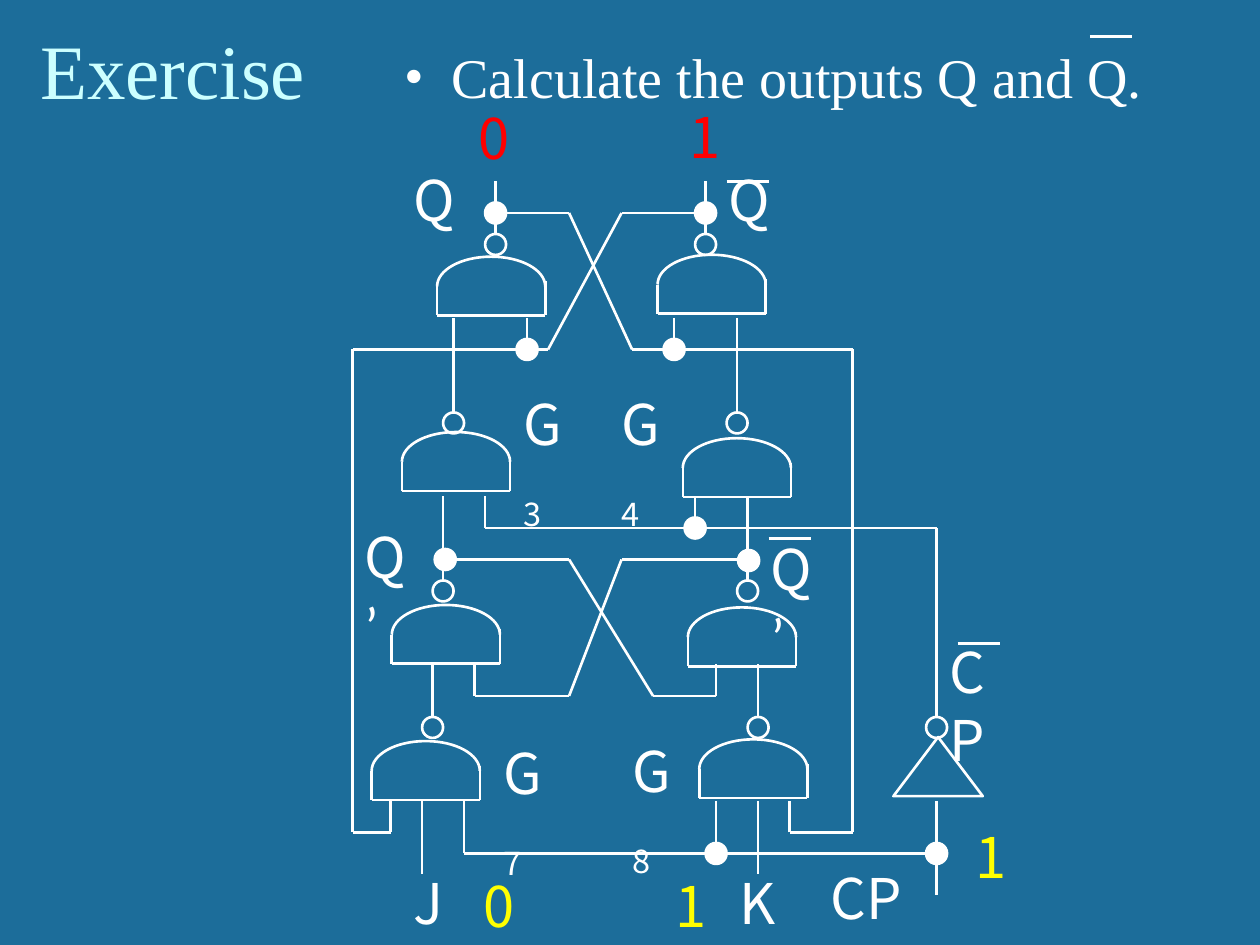
from lxml import etree
from pptx import Presentation
from pptx.dml.color import RGBColor
from pptx.enum import shapes as sh, text as tx
from pptx.oxml.ns import qn
from pptx.util import Pt

BLUE = RGBColor(0x1C, 0x6D, 0x9A)
PALE = RGBColor(0xCC, 0xFF, 0xFF)
WHITE = RGBColor(0xFF, 0xFF, 0xFF)
YELLOW = RGBColor(0xFF, 0xFF, 0x00)
RED = RGBColor(0xFF, 0x00, 0x00)
SERIF, SANS, PRIME = "Times New Roman", "Noto Sans CJK SC", "Calibri"
STEP, LEFT, TOP = 6, 1.2, 1.7

deck = Presentation()
deck.slide_width, deck.slide_height = Pt(720), Pt(540)
slide = deck.slides.add_slide(deck.slide_layouts[5])
slide.background.fill.solid()
slide.background.fill.fore_color.rgb = BLUE


def wire(x1, y1, x2, y2):
    line = slide.shapes.add_connector(
        sh.MSO_CONNECTOR.STRAIGHT, Pt(x1), Pt(y1), Pt(x2), Pt(y2))
    line.line.color.rgb = WHITE
    line.line.width = Pt(1.5)
    etree.SubElement(line._element.spPr, qn("a:effectLst"))


def style(shape, fill=None):
    shape.shadow.inherit = False
    shape.line.color.rgb = WHITE
    shape.line.width = Pt(1.5)
    if fill is None:
        shape.fill.background()
    else:
        shape.fill.solid()
        shape.fill.fore_color.rgb = fill


title = slide.shapes.title
title.left, title.top, title.width, title.height = Pt(15.8), Pt(9.4), Pt(612), Pt(59.8)
title.text_frame.vertical_anchor = tx.MSO_ANCHOR.BOTTOM
para = title.text_frame.paragraphs[0]
para.alignment = tx.PP_ALIGN.LEFT
run = para.add_run()
run.text = "Exercise"
run.font.name, run.font.size = SERIF, Pt(44)
run.font.color.rgb = PALE

task = slide.shapes.add_textbox(Pt(223.9), Pt(20.9), Pt(490), Pt(50))
task.text_frame.word_wrap = True
para = task.text_frame.paragraphs[0]
props = para._p.get_or_add_pPr()
props.set("marL", str(Pt(27)))
props.set("indent", str(-Pt(27)))
etree.SubElement(props, qn("a:buFont")).set("typeface", SERIF)
etree.SubElement(props, qn("a:buChar")).set("char", "•")
run = para.add_run()
run.text = "Calculate the outputs Q and Q."
run.font.name, run.font.size = SERIF, Pt(32)
run.font.color.rgb = WHITE

wires = [
    [(47, 22), (47, 17)],
    [(67, 22), (67, 17)],
    [(47, 20), (54, 20), (60, 33), (63, 33), (81, 33), (81, 79), (75, 79), (75, 76)],
    [(67, 20), (59, 20), (52, 33), (33.4, 33), (33.4, 79), (37, 79), (37, 76)],
    [(50, 30), (50, 33), (52, 33)],
    [(64, 30), (64, 33)],
    [(61, 33), (63, 33)],
    [(43, 30), (43, 39)],
    [(70, 30), (70, 33)],
    [(70, 32), (70, 39)],
    [(42, 47), (42, 50)],
    [(42, 48), (42, 55)],
    [(42, 52), (42, 55)],
    [(71, 47), (71, 55)],
    [(46, 47), (46, 50), (89, 50), (89, 68)],
    [(66, 47), (66, 50)],
    [(42, 53), (54, 53), (62, 66), (68, 66), (68, 63)],
    [(71, 53), (59, 53), (54, 66), (45, 66), (45, 63)],
    [(41, 63), (41, 68)],
    [(72, 63), (72, 66)],
    [(72, 65), (72, 68)],
    [(44, 76), (44, 81), (90, 81)],
    [(68, 76), (68, 79)],
    [(68, 77), (68, 82)],
    [(40, 76), (40, 83)],
    [(72, 76), (72, 83)],
    [(89, 76), (89, 85)],
]
bars = [(103.6, 3.2), (69, 17), (73, 51), (91, 61)]
wires += [[(x, y), (x + 4, y)] for x, y in bars]
for route in wires:
    for (x1, y1), (x2, y2) in zip(route, route[1:]):
        wire(LEFT + STEP * x1, TOP + STEP * y1, LEFT + STEP * x2, TOP + STEP * y2)

rings = [(47, 23), (67, 23), (43, 40), (70, 40), (42, 56), (71, 56),
         (41, 69), (72, 69), (89, 69)]
dots = [(47, 20), (67, 20), (50, 33), (64, 33), (66, 50), (42.2, 53),
        (71.1, 53.1), (68, 81), (89, 81)]
for spots, fill in ((rings, None), (dots, WHITE)):
    for x, y in spots:
        disc = slide.shapes.add_shape(
            sh.MSO_SHAPE.OVAL, Pt(LEFT + STEP * (x - 1)), Pt(TOP + STEP * (y - 1)),
            Pt(2 * STEP), Pt(2 * STEP))
        style(disc, fill)

WIDE, ARCH, TALL = 61.8, 17, 33.6
curve = [(0, 1), (0, 0.45), (0.22, 0), (0.5, 0), (0.78, 0), (1, 0.45), (1, 1)]
gates = [(249.8, 146.7), (375.8, 145.6), (229.7, 246.9), (390.2, 250.4),
         (223.9, 345.7), (393.1, 347.1), (212.4, 423.5), (399.6, 422.5)]
for x, y in gates:
    knots = [(100 * (x + WIDE * a), 100 * (y + ARCH * b)) for a, b in curve]
    pen = slide.shapes.build_freeform(*knots[0], scale=Pt(1) / 100)
    pen.add_line_segments(knots[1:], close=False)
    arch = pen.convert_to_shape()
    style(arch)
    legs = list(arch._element.iter(qn("a:lnTo")))
    for i in (0, 3):
        bend = etree.SubElement(legs[i].getparent(), qn("a:cubicBezTo"))
        for leg in legs[i:i + 3]:
            bend.append(leg[0])
            leg.getparent().remove(leg)
    wire(x, y + ARCH, x, y + TALL)
    wire(x + WIDE, y + ARCH - 3, x + WIDE, y + TALL)
    wire(x, y + TALL, x + WIDE, y + TALL)

style(slide.shapes.add_shape(
    sh.MSO_SHAPE.ISOSCELES_TRIANGLE, Pt(510.5), Pt(421.2), Pt(51.1), Pt(33.8)))

labels = [
    (409, 91.2, 30.2, "Q", "", WHITE),
    (229, 91.2, 30.2, "Q", "", WHITE),
    (229, 492.8, 30.2, "J", "", WHITE),
    (415.4, 492.8, 30.2, "K", "", WHITE),
    (467.6, 490, 66.2, "CP", "", WHITE),
    (535.4, 360.9, 46.8, "CP", "", WHITE),
    (201.2, 295.2, 46.8, "Q", " ’", WHITE),
    (433.4, 301.7, 47.5, "Q", " ’", WHITE),
    (269.3, 494.6, 31, "0", "", YELLOW),
    (378.7, 494.6, 31, "1", "", YELLOW),
    (550.1, 466.6, 31, "1", "", YELLOW),
    (266.4, 55.4, 31, "0", "", RED),
    (387, 54.9, 31, "1", "", RED),
    (280.8, 418.3, 41.8, "G", "7", WHITE),
    (354.2, 417.4, 41.8, "G", "8", WHITE),
    (292.3, 218.9, 41, "G", "3", WHITE),
    (347.8, 218.9, 41, "G", "4", WHITE),
]
for x, y, wide, main, tail, color in labels:
    box = slide.shapes.add_textbox(Pt(x), Pt(y), Pt(wide), Pt(45.6))
    box.text_frame.word_wrap = True
    para = box.text_frame.paragraphs[0]
    for part in filter(None, (main, tail)):
        run = para.add_run()
        run.text = part
        run.font.name = PRIME if "’" in part else SANS
        run.font.size = Pt(32)
        run.font.color.rgb = color
        if part.isdigit() and part == tail:
            run.font._element.set("baseline", "-25000")

deck.save("out.pptx")
